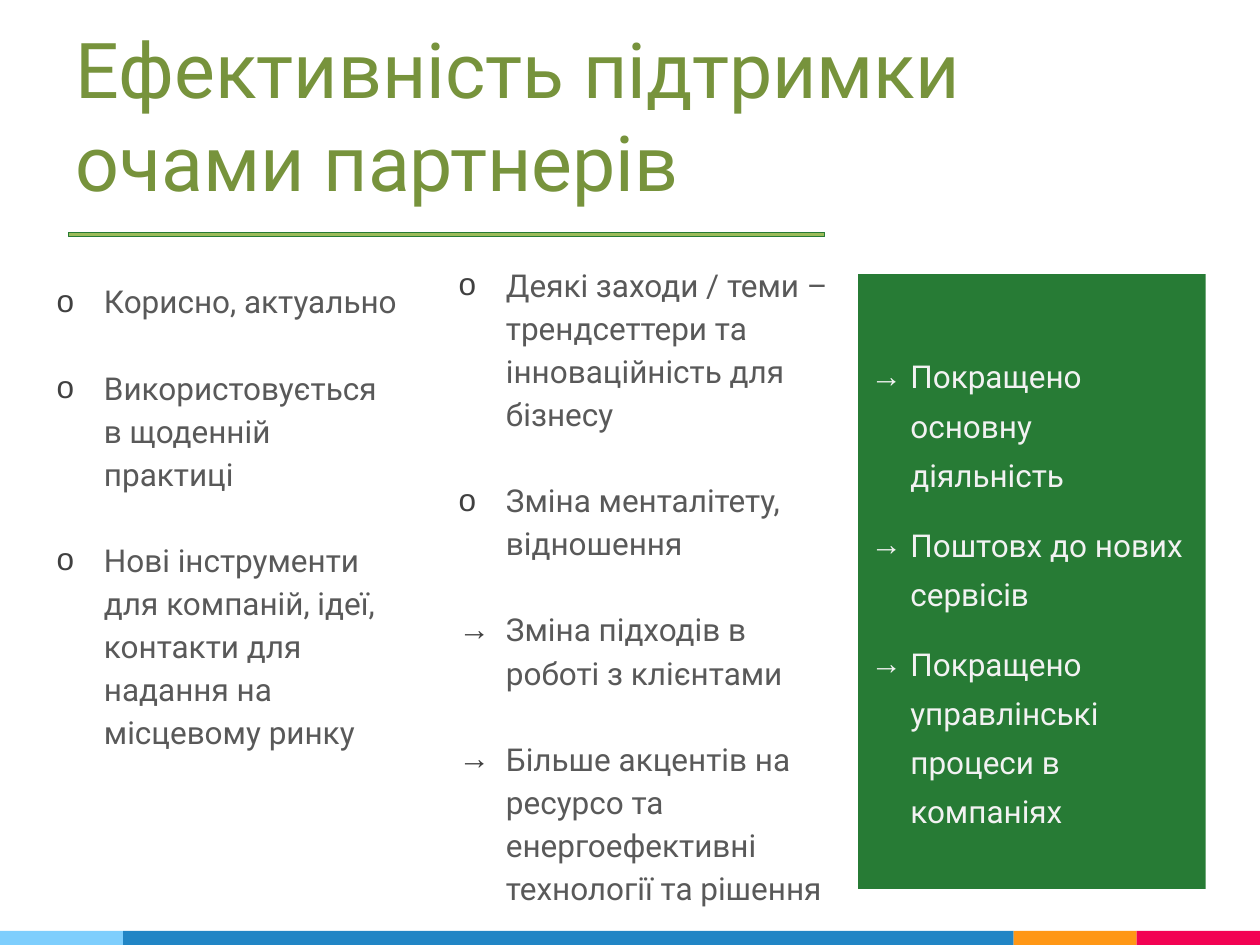
from lxml.etree import SubElement
from pptx import Presentation
from pptx.dml.color import RGBColor
from pptx.enum.shapes import MSO_SHAPE
from pptx.enum.text import MSO_ANCHOR, MSO_AUTO_SIZE, PP_ALIGN
from pptx.oxml.ns import qn
from pptx.util import Pt

COLORS = {
    "title": "77933C", "text": "595959", "bullet": "404040", "light": "F2F2F2",
    "panel": "277B35", "rule": "9BBB59", "sky": "7ECEFD", "blue": "2185C5",
    "orange": "FF9715", "red": "F20253",
}


class PageBuilder:
    """Holds the text style and the page being built."""

    def __init__(self, page, font="Roboto", size=18, inset=7.2):
        self.page, self.font, self.size, self.inset = page, font, size, inset

    def color(self, name):
        return RGBColor.from_string(COLORS[name])

    def place(self, shape, left, top, width, height):
        shape.left, shape.top = Pt(left), Pt(top)
        shape.width, shape.height = Pt(width), Pt(height)

    def frame(self, box, anchor):
        frame = box.text_frame
        frame.word_wrap = True
        frame.auto_size = MSO_AUTO_SIZE.NONE
        frame.vertical_anchor = anchor
        frame.margin_left = frame.margin_right = Pt(self.inset)
        frame.margin_top = frame.margin_bottom = Pt(self.inset)
        return frame

    def format_runs(self, para, size, color):
        for span in para.runs:
            span.font.name, span.font.size = self.font, Pt(size)
            span.font.bold = False
            span.font.color.rgb = self.color(color)

    def title(self, text, area):
        box = self.page.shapes.title
        self.place(box, *area)
        frame = self.frame(box, MSO_ANCHOR.BOTTOM)
        frame.text = text
        frame.paragraphs[0].alignment = PP_ALIGN.LEFT
        self.format_runs(frame.paragraphs[0], 44, "title")

    def bullets(self, index, area, items, color="text", bullet_color="bullet",
                indent=27, spacing=1.14, gap=24.6, lead=0, fill=None):
        box = self.page.placeholders[index]
        self.place(box, *area)
        if fill:
            box.fill.solid()
            box.fill.fore_color.rgb = self.color(fill)
        frame = self.frame(box, MSO_ANCHOR.TOP)
        frame.margin_top = Pt(self.inset + lead)
        frame.text = "\n".join(text for _, text in items)
        for number, (para, (mark, _)) in enumerate(zip(frame.paragraphs, items)):
            para.alignment = PP_ALIGN.LEFT
            para.line_spacing = spacing
            para.space_before = Pt(gap if number else 0)
            para.space_after = Pt(0)
            self.format_runs(para, self.size, color)
            self.bullet(para, mark, bullet_color, indent)

    def bullet(self, para, mark, color, indent):
        properties = para._p.get_or_add_pPr()
        properties.set("marL", str(Pt(indent)))
        properties.set("indent", str(-Pt(indent)))
        tint = SubElement(properties, qn("a:buClr"))
        SubElement(tint, qn("a:srgbClr"), val=COLORS[color])
        SubElement(properties, qn("a:buChar"), char=mark)

    def block(self, kind, area, fill, line=None):
        shape = self.page.shapes.add_shape(kind, *map(Pt, area))
        shape.shadow.inherit = False
        shape.fill.solid()
        shape.fill.fore_color.rgb = self.color(fill)
        if line:
            shape.line.color.rgb = self.color(line)
            shape.line.width = Pt(0.5)
        else:
            shape.line.fill.background()


def main():
    deck = Presentation()
    deck.slide_width, deck.slide_height = Pt(720), Pt(540)
    page = deck.slides.add_slide(deck.slide_layouts[4])
    builder = PageBuilder(page)

    left = 0
    for name, width in (("sky", 70.3), ("blue", 508.9), ("orange", 70.4), ("red", 70.4)):
        builder.block(MSO_SHAPE.RECTANGLE, (left, 532, width, 8), name)
        left += width

    builder.title("Ефективність підтримки очами партнерів", (36, 0, 648, 125.3))
    builder.bullets(1, (25.2, 151.2, 211.7, 351.4), [
        ("o", "Корисно, актуально"),
        ("o", "Використовується в щоденній практиці"),
        ("o", "Нові інструменти для компаній, ідеї, контакти для надання на місцевому ринку"),
    ])
    builder.bullets(2, (254.9, 141.8, 229.7, 374.4), [
        ("o", "Деякі заходи / теми – трендсеттери та інноваційність для бізнесу"),
        ("o", "Зміна менталітету, відношення"),
        ("→", "Зміна підходів в роботі з клієнтами"),
        ("→", "Більше акцентів на ресурсо та енергоефективні технології та рішення"),
    ])
    builder.bullets(3, (490.3, 156.6, 198.7, 351.4), [
        ("→", "Покращено основну діяльність"),
        ("→", "Поштовх до нових сервісів"),
        ("→", "Покращено управлінські процеси в компаніях"),
    ], color="light", bullet_color="light", indent=22.7, spacing=1.3, gap=12,
        lead=34, fill="panel")
    spare = page.placeholders[4].element
    spare.getparent().remove(spare)

    builder.block(MSO_SHAPE.MATH_MINUS, (-38.9, 128.2, 588.2, 11.5), "rule", "panel")
    deck.save("out.pptx")


if __name__ == "__main__":
    main()
